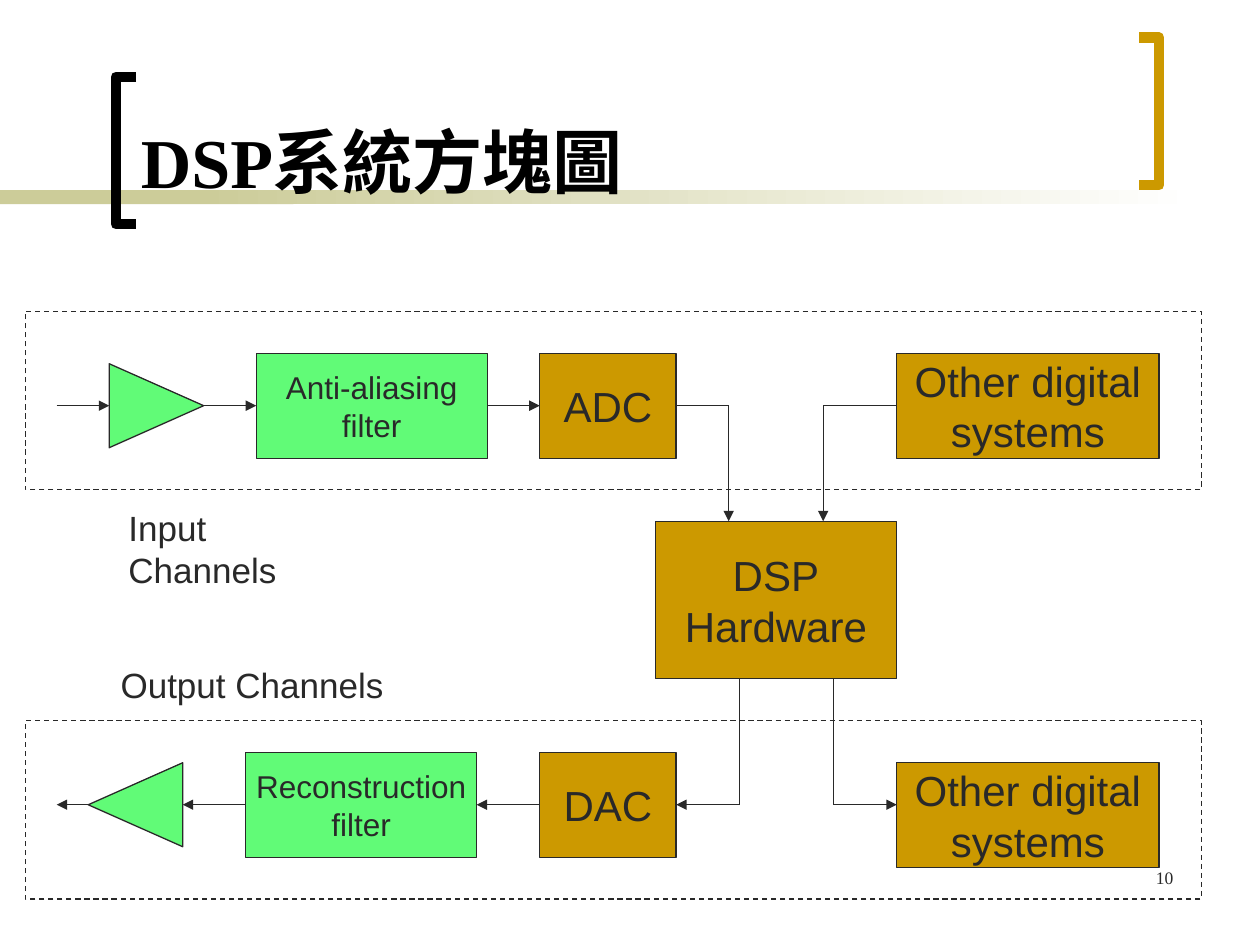
import pptx
import pptx.util
from pptx.dml.color import RGBColor
from pptx.enum.dml import MSO_LINE
from pptx.enum.shapes import MSO_CONNECTOR, MSO_SHAPE
from pptx.enum.text import MSO_ANCHOR, PP_ALIGN
from pptx.oxml.ns import qn
from lxml import etree

INK = RGBColor(0x29, 0x29, 0x29)
BLACK = RGBColor(0, 0, 0)
WHITE = RGBColor(255, 255, 255)
GOLD = RGBColor(0xCC, 0x99, 0x00)
GREEN = RGBColor(0x61, 0xFB, 0x77)
OLIVE = RGBColor(0xCC, 0xCC, 0x99)

# The diagram grid: 12 cells to the inch, from the corner of the input panel
ORIGIN_X, ORIGIN_Y, CELL = 0.2, 2.47, 1 / 12
INPUT_ROW, OUTPUT_ROW = 9, 47
TOP, LEFT, BOTTOM, RIGHT = range(4)

# Content: column, row, columns, rows
PANELS = [(0, 0, 112, 17), (0, 39, 112, 17)]
AMPLIFIERS = [(8, 5, 9, 8, 90), (6, 43, 9, 8, 270)]
BLOCKS = {
    "antialias": ((22, 4, 22, 10), ["Anti-aliasing", "filter"], GREEN, 18),
    "adc": ((49, 4, 13, 10), ["ADC"], GOLD, 24),
    "dsp": ((60, 20, 23, 15), ["DSP", "Hardware"], GOLD, 24),
    "dac": ((49, 42, 13, 10), ["DAC"], GOLD, 24),
    "reconstruct": ((21, 42, 22, 10), ["Reconstruction", "filter"], GREEN, 18),
    "source": ((83, 4, 25, 10), ["Other digital", "systems"], GOLD, 24),
    "sink": ((83, 43, 25, 10), ["Other digital", "systems"], GOLD, 24),
}
LABELS = [((8.65, 18, 24.8, 5.25), "Input Channels"),
          ((7.9, 33, 27.5, 5.25), "Output Channels")]
# Signal routes: corner points, then the block sides joined at start and end
SIGNALS = [
    ([(3, INPUT_ROW), (8, INPUT_ROW)], None, None),
    ([(17, INPUT_ROW), (22, INPUT_ROW)], None, ("antialias", LEFT)),
    ([(44, INPUT_ROW), (49, INPUT_ROW)], ("antialias", RIGHT), ("adc", LEFT)),
    ([(62, INPUT_ROW), (67, INPUT_ROW), (67, 20)], ("adc", RIGHT), None),
    ([(83, INPUT_ROW), (76, INPUT_ROW), (76, 20)], ("source", LEFT), None),
    ([(68, 35), (68, OUTPUT_ROW), (62, OUTPUT_ROW)], None, ("dac", RIGHT)),
    ([(77, 35), (77, OUTPUT_ROW), (83, OUTPUT_ROW)], None, None),
    ([(49, OUTPUT_ROW), (43, OUTPUT_ROW)], ("dac", LEFT), ("reconstruct", RIGHT)),
    ([(21, OUTPUT_ROW), (15, OUTPUT_ROW)], ("reconstruct", LEFT), None),
    ([(6, OUTPUT_ROW), (3, OUTPUT_ROW)], None, None),
]
# Title brackets in inches: open side, spine, top, colour
BRACKETS = [(1.08, 0.92, 0.61, BLACK), (9.04, 9.2, 0.3, GOLD)]
BRACKET_HEIGHT = 1.17

deck = pptx.Presentation()
deck.slide_width, deck.slide_height = pptx.util.Inches(10), pptx.util.Inches(7.5)
slide = deck.slides.add_slide(deck.slide_layouts[6])
shapes = slide.shapes


def inches(*lengths):
    return [pptx.util.Inches(length) for length in lengths]


def point(column, row):
    return inches(ORIGIN_X + column * CELL, ORIGIN_Y + row * CELL)


def area(column, row, columns, rows):
    return point(column, row) + inches(columns * CELL, rows * CELL)


def add_outlined(kind, box, fill=None, line=None, width=0.75):
    shape = shapes.add_shape(kind, *box)
    shape.shadow.inherit = False
    if fill is not None:
        shape.fill.solid()
        shape.fill.fore_color.rgb = fill
    if line is None:
        shape.line.fill.background()
    else:
        shape.line.color.rgb = line
        shape.line.width = pptx.util.Pt(width)
    return shape


def write(shape, lines, size, font="Arial", color=INK, bold=False,
          align=PP_ALIGN.LEFT, anchor=MSO_ANCHOR.TOP, wrap=False):
    frame = shape.text_frame
    frame.word_wrap = wrap
    frame.vertical_anchor = anchor
    frame.text = "\n".join(lines)
    for paragraph in frame.paragraphs:
        paragraph.alignment = align
        text_font = paragraph.runs[0].font
        text_font.name, text_font.size = font, pptx.util.Pt(size)
        text_font.bold, text_font.color.rgb = bold, color


def add_signal(start, end, arrow):
    signal = shapes.add_connector(MSO_CONNECTOR.STRAIGHT, *point(*start), *point(*end))
    signal.line.color.rgb = INK
    signal.line.width = pptx.util.Pt(0.75)
    if arrow:
        etree.SubElement(signal.line._get_or_add_ln(), qn("a:tailEnd"), type="triangle")
    etree.SubElement(signal._element.spPr, qn("a:effectLst"))
    return signal


# Title band and brackets
add_outlined(MSO_SHAPE.RECTANGLE, inches(0, 1.51, 2.33, 0.11), OLIVE)
fade = add_outlined(MSO_SHAPE.RECTANGLE, inches(1.58, 1.51, 7.92, 0.11))
fade.fill.gradient()
fade.fill.gradient_angle = 180
for stop, color in zip(fade.fill.gradient_stops, (WHITE, OLIVE)):
    stop.color.rgb = color
for opening, spine, top, color in BRACKETS:
    base = top + BRACKET_HEIGHT
    outline = shapes.build_freeform(*inches(opening, top))
    outline.add_line_segments(
        [inches(spine, top), inches(spine, base), inches(opening, base)], close=False)
    bracket = outline.convert_to_shape()
    bracket.shadow.inherit = False
    bracket.fill.background()
    bracket.line.color.rgb = color
    bracket.line.width = pptx.util.Pt(6)

# Panels, amplifiers and blocks
for cells in PANELS:
    panel = add_outlined(MSO_SHAPE.RECTANGLE, area(*cells), WHITE, INK)
    panel.line.dash_style = MSO_LINE.DASH
for column, row, columns, rows, turn in AMPLIFIERS:
    # A quarter turn swaps width and height about the same centre
    shift = (columns - rows) / 2
    amplifier = add_outlined(MSO_SHAPE.ISOSCELES_TRIANGLE,
                             area(column + shift, row - shift, rows, columns), GREEN, INK)
    amplifier.rotation = turn
blocks = {}
for key, (cells, lines, fill, size) in BLOCKS.items():
    blocks[key] = add_outlined(MSO_SHAPE.RECTANGLE, area(*cells), fill, INK)
    write(blocks[key], lines, size, align=PP_ALIGN.CENTER, anchor=MSO_ANCHOR.MIDDLE)

# Signals, with the arrowhead on the last leg of each route
for corners, source, target in SIGNALS:
    legs = [add_signal(start, end, end == corners[-1])
            for start, end in zip(corners, corners[1:])]
    if source:
        legs[0].begin_connect(blocks[source[0]], source[1])
    if target:
        legs[-1].end_connect(blocks[target[0]], target[1])

# Channel labels, title and page number
for cells, label in LABELS:
    write(shapes.add_textbox(*area(*cells)), [label], 20)
write(shapes.add_textbox(*inches(1.02, 0.11, 7.83, 1.55)), ["DSP系統方塊圖"], 40,
      font="Times New Roman", color=BLACK, bold=True, anchor=MSO_ANCHOR.BOTTOM, wrap=True)
write(shapes.add_textbox(*inches(7.33, 6.83, 2.08, 0.5)), ["10"], 10,
      font="Times New Roman", align=PP_ALIGN.RIGHT, wrap=True)

deck.save("out.pptx")
